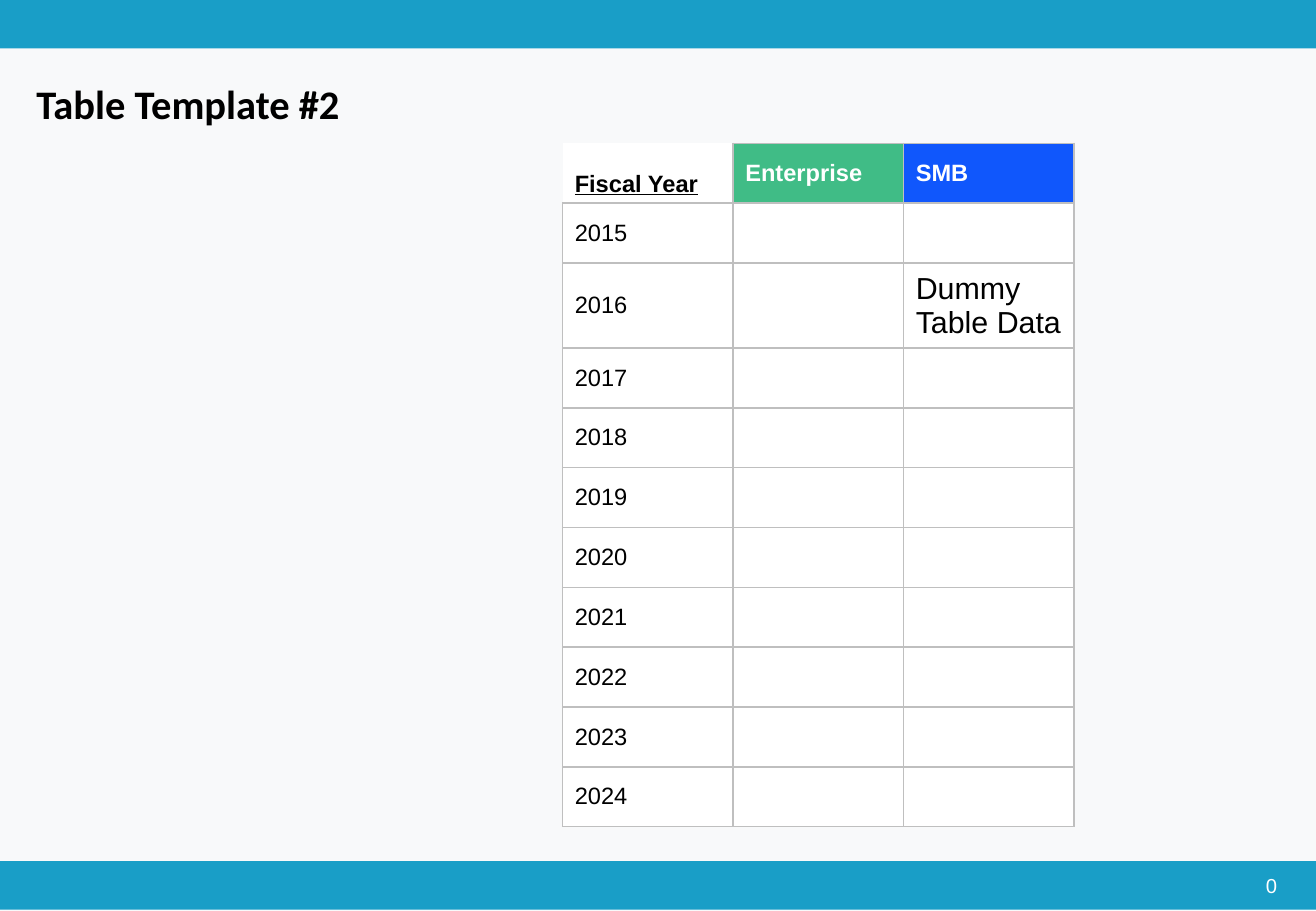
"""Build a fiscal-year table slide with coloured bands at top and bottom."""
from lxml.etree import SubElement
from pptx import Presentation
from pptx.dml.color import RGBColor
from pptx.enum.shapes import MSO_SHAPE
from pptx.enum.text import MSO_ANCHOR, PP_ALIGN
from pptx.oxml.ns import qn
from pptx.util import Inches, Pt

COLORS = {"background": "F8F9FA", "band": "199EC7", "border": "BFBFBF",
          "black": "000000", "white": "FFFFFF", "green": "40BC86", "blue": "1057FC"}
TITLE = "Table Template #2"
PAGE_NUMBER = "0"
HEADERS = [("Fiscal Year", "white", "black"),
           ("Enterprise", "green", "white"),
           ("SMB", "blue", "white")]
YEARS = range(2015, 2025)
DATA = {2016: ("", "Dummy Table Data")}
WIDTH, HEIGHT = 10.83, 7.5
BAND_HEIGHT = 0.4
TABLE_BOX = (4.63, 1.18, 4.21, 5.42)


def rgb(name):
    return RGBColor.from_string(COLORS[name])


def box(*lengths):
    return [Inches(v) for v in lengths]


def fill(target, color):
    target.fill.solid()
    target.fill.fore_color.rgb = rgb(color)


def write(tf, text, size=14, font="Arial", color="black", bold=False,
          underline=False, align=PP_ALIGN.LEFT, anchor=None, margin=None):
    p = tf.paragraphs[0]
    p.alignment = align
    r = p.add_run()
    r.text = text
    r.font.size, r.font.name = Pt(size), font
    r.font.bold, r.font.underline = bold, underline
    r.font.color.rgb = rgb(color)
    if anchor is not None:
        tf.vertical_anchor = anchor
    if margin is not None:
        tf.word_wrap = True
        tf.margin_left = tf.margin_right = tf.margin_top = tf.margin_bottom = margin


def set_borders(cell, hidden=()):
    tcPr = cell._tc.get_or_add_tcPr()
    for i, side in enumerate("LRTB"):
        ln = SubElement(tcPr, qn(f"a:ln{side}"), w=str(Pt(1)))
        tcPr.insert(i, ln)
        if side in hidden:
            SubElement(ln, qn("a:noFill"))
        else:
            line_fill = SubElement(ln, qn("a:solidFill"))
            SubElement(line_fill, qn("a:srgbClr"), val=COLORS["border"])


prs = Presentation()
prs.slide_width, prs.slide_height = box(WIDTH, HEIGHT)
s = prs.slides.add_slide(prs.slide_layouts[5])
fill(s.background, "background")

for top in (0, 7.09):
    sp = s.shapes.add_shape(MSO_SHAPE.RECTANGLE, *box(0, top, WIDTH, BAND_HEIGHT))
    sp.shadow.inherit = False
    fill(sp, "band")
    sp.line.fill.background()

title = s.shapes.title
title.left, title.top, title.width, title.height = box(0.3, 0.65, 10.21, 0.78)
write(title.text_frame, TITLE, size=24, font="Calibri", bold=True,
      anchor=MSO_ANCHOR.TOP, margin=0)

number = s.shapes.add_textbox(*box(9.92, 7.19, 0.59, 0.2))
write(number.text_frame, PAGE_NUMBER, size=12, color="white",
      align=PP_ALIGN.RIGHT, margin=0)

table = s.shapes.add_table(len(YEARS) + 1, len(HEADERS), *box(*TABLE_BOX)).table
table.horz_banding = False

for c, (text, background, color) in enumerate(HEADERS):
    cell = table.cell(0, c)
    fill(cell, background)
    set_borders(cell, hidden="LT" if c == 0 else "")
    write(cell.text_frame, text, color=color, bold=True, underline=c == 0)
    cell.vertical_anchor = MSO_ANCHOR.BOTTOM if c == 0 else MSO_ANCHOR.MIDDLE

for r, year in enumerate(YEARS, 1):
    for c, text in enumerate((str(year), *DATA.get(year, ("", "")))):
        cell = table.cell(r, c)
        fill(cell, "white")
        set_borders(cell)
        cell.vertical_anchor = MSO_ANCHOR.MIDDLE
        if text:
            write(cell.text_frame, text, size=14 if c == 0 else 18)

prs.save("out.pptx")
